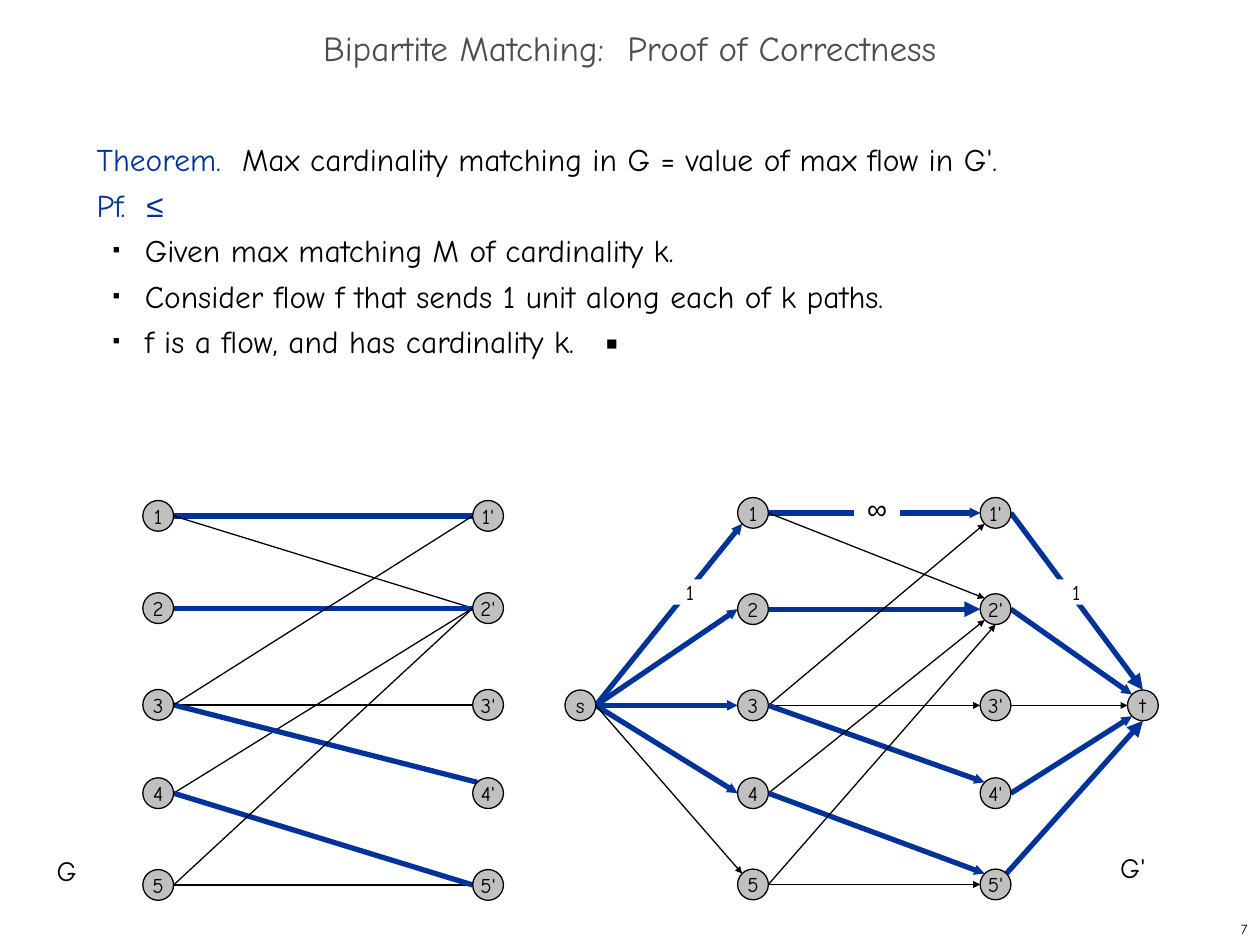
from lxml.etree import SubElement
from pptx import Presentation
from pptx.dml.color import RGBColor
from pptx.enum.shapes import MSO_CONNECTOR as CONN, MSO_SHAPE as SHAPE
from pptx.enum.text import MSO_ANCHOR as ANCHOR, PP_ALIGN as ALIGN
from pptx.oxml.ns import qn
from pptx.util import Cm, Pt

HAND, SANS = "Comic Neue", "Arial"
BLUE, BLACK, GRAY, SILVER, WHITE = "003399", "000000", "4D4D4D", "C0C0C0", "FFFFFF"
NODE = 0.62
DIAG = 0.5 ** 0.5
SITES = {"L": (-1, 0), "R": (1, 0), "T": (0, -1), "B": (0, 1),
         "TL": (-DIAG, -DIAG), "TR": (DIAG, -DIAG), "BL": (-DIAG, DIAG)}
G_EDGES = [
    ("3", "3'", "L", False), ("1", "1'", "L", True), ("5", "5'", "L", False),
    ("1", "2'", "L", False), ("2", "2'", "L", True), ("4", "2'", "L", False),
    ("3", "4'", "TL", True), ("4", "5'", "L", True), ("5", "2'", "L", False),
    ("3", "1'", "L", False),
]
FLOW_EDGES = [
    ("s", "1", "BL", True), ("s", "2", "L", True), ("s", "3", "L", True),
    ("s", "4", "L", True), ("s", "5", "TL", False), ("1", "1'", "L", True),
    ("1", "2'", "TL", False), ("2", "2'", "L", True), ("3", "1'", "BL", False),
    ("3", "3'", "L", False), ("3", "4'", "TL", True), ("4", "2'", "BL", False),
    ("4", "5'", "TL", True), ("5", "2'", "B", False), ("5", "5'", "L", False),
    ("1'", "t", "T", True), ("2'", "t", "TL", True), ("3'", "t", "L", False),
    ("4'", "t", "BL", True), ("5'", "t", "B", True),
]
BIG_HEADS = {("2", "2'"), ("1'", "t"), ("5'", "t")}


def rgb(color):
    """Turn a hex string into a colour."""
    return RGBColor.from_string(color)


def apply(obj, formats):
    """Set each attribute in formats on obj."""
    for name, value in formats.items():
        setattr(obj, name, value)


def set_frame(tf, margins=(0.25, 0.13), **formats):
    """Set the margins and other formats of a text frame."""
    mx, my = (Cm(m) for m in margins)
    apply(tf, {"word_wrap": True, "margin_left": mx, "margin_right": mx,
               "margin_top": my, "margin_bottom": my, **formats})


def add_run(p, text, size, color=BLACK, font=HAND):
    """Add a formatted run to a paragraph."""
    r = p.add_run()
    r.text = text
    apply(r.font, {"size": Pt(size), "name": font})
    r.font.color.rgb = rgb(color)


def add_bullet(p):
    """Give a paragraph a small black square bullet."""
    pPr = p._p.get_or_add_pPr()
    apply_indent = {"marL": Cm(0.97), "indent": Cm(-0.64)}
    for name, value in apply_indent.items():
        pPr.set(name, str(value))
    SubElement(SubElement(pPr, qn("a:buClr")), qn("a:srgbClr"), val=BLACK)
    SubElement(pPr, qn("a:buSzPct"), val="35000")
    SubElement(pPr, qn("a:buFont"), typeface=SANS)
    SubElement(pPr, qn("a:buChar"), char="■")


def add_textbox(slide, box, text, size, align=ALIGN.LEFT, anchor=ANCHOR.TOP):
    """Add a one-line text box."""
    tf = slide.shapes.add_textbox(*map(Cm, box)).text_frame
    set_frame(tf, vertical_anchor=anchor)
    p = tf.paragraphs[0]
    p.alignment = align
    add_run(p, text, size)


def add_title(slide, box, text):
    """Place and format the title placeholder."""
    sp = slide.shapes.title
    apply(sp, dict(zip(("left", "top", "width", "height"), map(Cm, box))))
    set_frame(sp.text_frame, vertical_anchor=ANCHOR.MIDDLE)
    p = sp.text_frame.paragraphs[0]
    apply(p, {"alignment": ALIGN.CENTER, "line_spacing": 0.7})
    add_run(p, text, 20, GRAY)


def add_proof(slide, box):
    """Write the theorem and the steps of its proof."""
    tf = slide.shapes.add_textbox(*map(Cm, box)).text_frame
    set_frame(tf)
    lines = [
        (False, [("Theorem.  ", BLUE, HAND),
                 ("Max cardinality matching in G = value of max flow in G'.", BLACK, HAND)]),
        (False, [("Pf.  ", BLUE, HAND), ("≤", BLUE, SANS)]),
        (True, [("Given max matching M of cardinality k.", BLACK, HAND)]),
        (True, [("Consider flow f that sends 1 unit along each of k paths.", BLACK, HAND)]),
        (True, [("f is a flow, and has cardinality k.   ▪", BLACK, HAND)]),
    ]
    for i, (bulleted, runs) in enumerate(lines):
        p = tf.add_paragraph() if i else tf.paragraphs[0]
        p.line_spacing = Pt(26)
        if bulleted:
            add_bullet(p)
        for text, color, font in runs:
            add_run(p, text, 18, color, font)


def add_shape(slide, kind, box, text, fill, size=12, font=HAND):
    """Add a filled shape with centred text and return it."""
    sp = slide.shapes.add_shape(kind, *map(Cm, box))
    sp.shadow.inherit = False
    sp.fill.solid()
    sp.fill.fore_color.rgb = rgb(fill)
    p = sp.text_frame.paragraphs[0]
    p.alignment = ALIGN.CENTER
    add_run(p, text, size, font=font)
    return sp


def add_node(slide, center, name):
    """Add a round graph node."""
    x, y = center
    box = (x - NODE / 2, y - NODE / 2, NODE, NODE)
    sp = add_shape(slide, SHAPE.OVAL, box, name, SILVER)
    sp.line.color.rgb = rgb(BLACK)
    sp.line.width = Pt(0.75)
    set_frame(sp.text_frame, word_wrap=False, vertical_anchor=ANCHOR.MIDDLE)


def add_label(slide, box, text, size=12, font=HAND):
    """Add a capacity label that covers part of an edge."""
    sp = add_shape(slide, SHAPE.RECTANGLE, box, text, WHITE, size, font)
    sp.line.fill.background()
    set_frame(sp.text_frame, (0, 0), vertical_anchor=ANCHOR.TOP)


def site_point(center, site):
    """Return the point of a node's rim at the named site."""
    return [c + NODE / 2 * d for c, d in zip(center, SITES[site])]


def add_edge(slide, start, end, bold, head=None):
    """Draw an edge, with an arrowhead of the given size if any."""
    line = slide.shapes.add_connector(CONN.STRAIGHT, *map(Cm, (*start, *end)))
    line.line.color.rgb = rgb(BLUE if bold else BLACK)
    line.line.width = Pt(3 if bold else 0.75)
    if head:
        SubElement(line.line._get_or_add_ln(), qn("a:tailEnd"),
                   type="triangle", w=head, len=head)
    SubElement(line._element.spPr, qn("a:effectLst"))


def add_graph(slide, box, rows, columns, edges, directed=False):
    """Draw nodes and edges from the box's top left; columns map x to node names."""
    left, top = box[:2]
    nodes = {}
    for x, names in columns.items():
        ys = rows if len(names) == len(rows) else [rows[2]]
        for name, y in zip(names, ys):
            nodes[name] = (left + x + NODE / 2, top + y + NODE / 2)
    for a, b, site, bold in edges:
        start = site_point(nodes[a], "TR" if (a, b) == ("5'", "t") else "R")
        head = ("med" if (a, b) in BIG_HEADS else "sm") if directed else None
        add_edge(slide, start, site_point(nodes[b], site), bold, head)
    for name, center in nodes.items():
        add_node(slide, center, name)


def add_flow_network(slide, box):
    """Draw the flow network with its capacity labels."""
    left, top = box[:2]
    add_graph(slide, box, (0, 1.94, 3.88, 5.65, 7.49),
              {0: ["s"], 3.48: list("12345"),
               8.37: [f"{i}'" for i in range(1, 6)], 11.34: ["t"]},
              FLOW_EDGES, directed=True)
    for x in (2.05, 9.84):
        add_label(slide, (left + x, top + 1.65, 0.94, 0.51), "1")
    add_label(slide, (left + 5.83, top - 0.12, 0.92, 0.68), "∞", 16, SANS)


def main():
    """Build the slide and save it."""
    prs = Presentation()
    prs.slide_width, prs.slide_height = Cm(25.4), Cm(19.05)
    slide = prs.slides.add_slide(prs.slide_layouts[5])
    add_title(slide, (0, 0.43, 25.4, 1.27), "Bipartite Matching:  Proof of Correctness")
    add_proof(slide, (1.7, 2.54, 21.8, 15.04))
    add_flow_network(slide, (11.39, 10.03, 11.96, 8.11))
    add_graph(slide, (2.88, 10.09, 7.27, 8.06), (0, 1.86, 3.81, 5.59, 7.44),
              {0: list("12345"), 6.65: [f"{i}'" for i in range(1, 6)]}, G_EDGES)
    add_textbox(slide, (22.33, 17.02, 1.55, 0.94), "G'", 16)
    add_textbox(slide, (0.89, 17.07, 1.55, 0.94), "G", 16)
    add_textbox(slide, (20.12, 18.42, 5.28, 0.63), "7", 8, ALIGN.RIGHT, ANCHOR.MIDDLE)
    prs.save("out.pptx")


if __name__ == "__main__":
    main()
